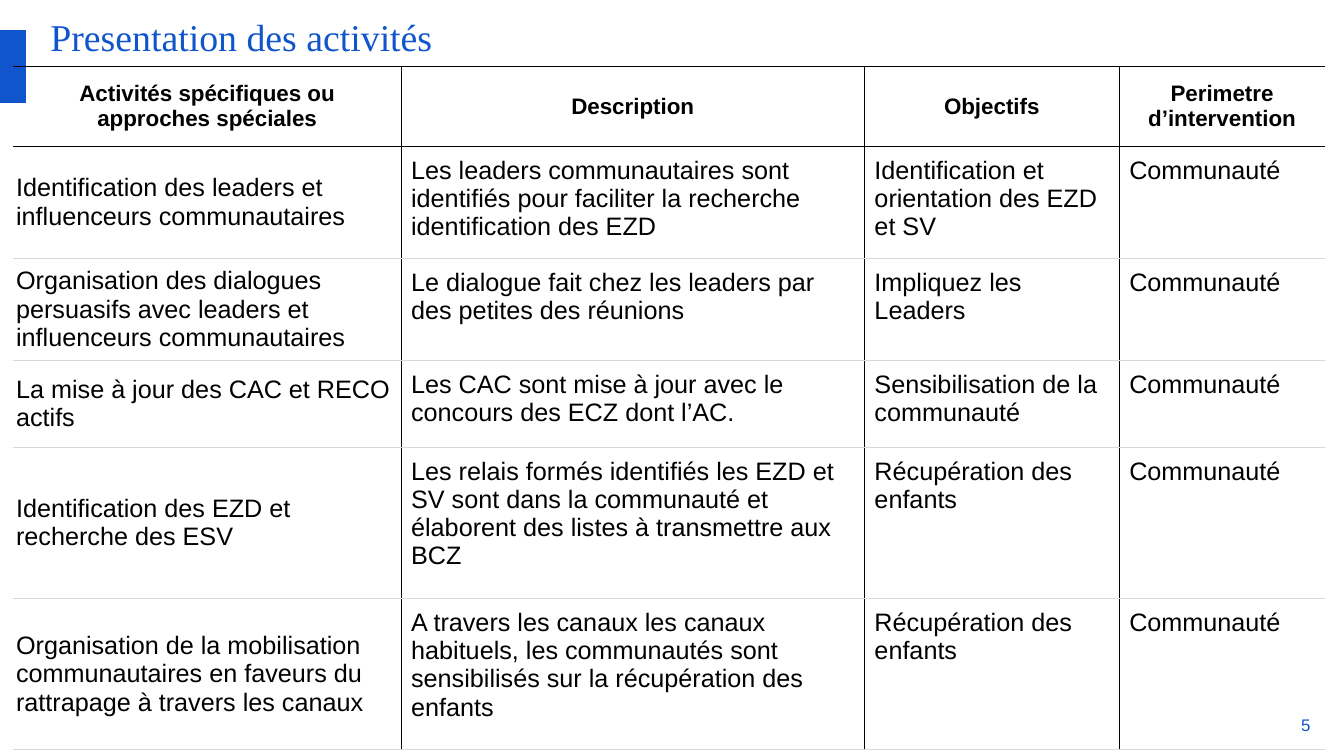
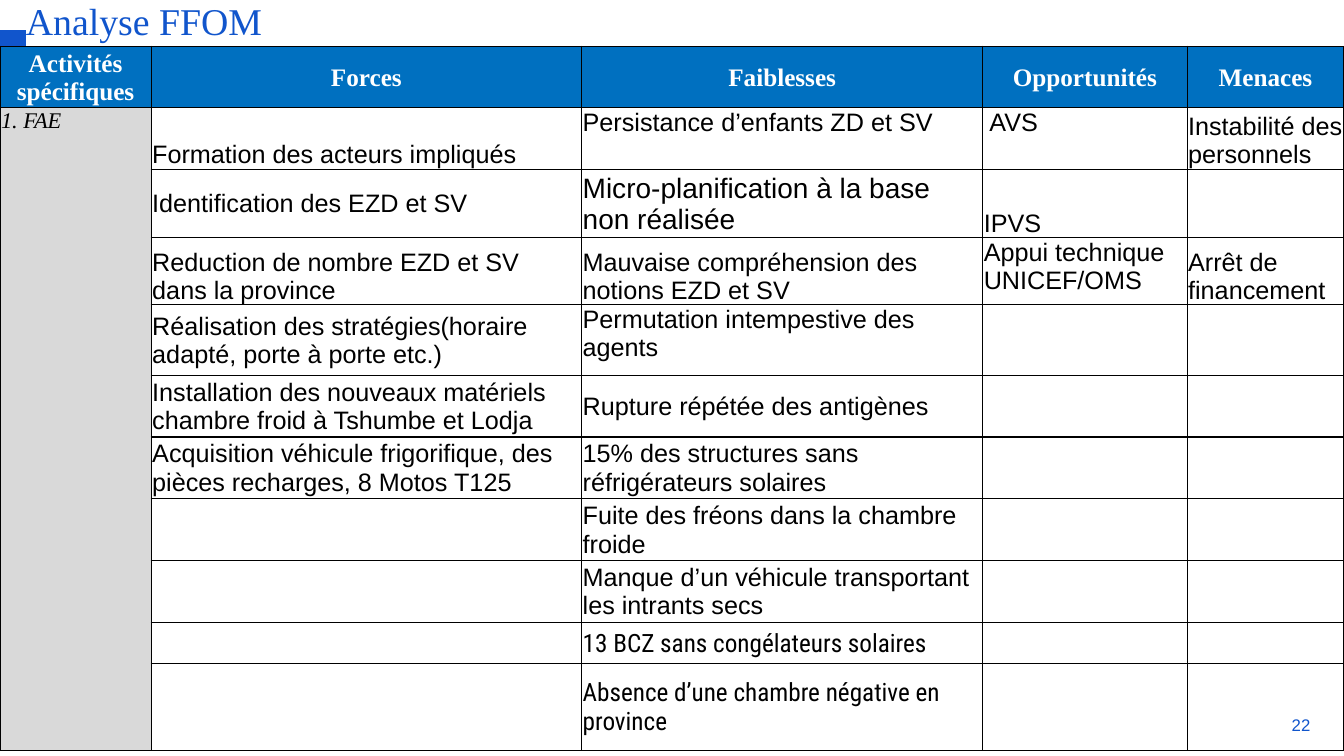
from lxml import etree
from pptx import Presentation
from pptx.dml.color import RGBColor
from pptx.enum.shapes import MSO_SHAPE
from pptx.enum.text import MSO_ANCHOR as ANCHOR, PP_ALIGN as ALIGN
from pptx.oxml.ns import qn
from pptx.util import Pt

COLORS = {
    "accent": "1155CC",
    "header": "0070C0",
    "group": "D9D9D9",
    "rule": "D9D9D9",
    "ink": "000000",
    "white": "FFFFFF",
}
SERIF, SANS, NARROW = "Times New Roman", "Arial", "Roboto Condensed"
PLAIN_TABLE_STYLE = "{2D5ABB26-0587-4C30-8999-92F81FD0307C}"
TOP, MID, LOW = ANCHOR.TOP, ANCHOR.MIDDLE, ANCHOR.BOTTOM

ACTIVITY_WIDTHS = [277, 331, 182, 147]
ACTIVITY_HEIGHTS = [57, 80, 73, 62, 108, 108]
ACTIVITIES = [
    ("Activités spécifiques ou approches spéciales", "Description",
     "Objectifs", "Perimetre d’intervention"),
    ("Identification des leaders et influenceurs communautaires",
     "Les leaders communautaires sont identifiés pour faciliter la recherche "
     "identification des EZD",
     "Identification et orientation des EZD et SV", "Communauté"),
    ("Organisation des dialogues persuasifs avec leaders et influenceurs "
     "communautaires",
     "Le dialogue fait chez les leaders par des petites des réunions",
     "Impliquez les Leaders", "Communauté"),
    ("La mise à jour des CAC et RECO actifs",
     "Les CAC sont mise à jour avec le concours des ECZ dont l’AC.",
     "Sensibilisation de la communauté", "Communauté"),
    ("Identification des EZD et recherche des ESV",
     "Les relais formés identifiés les EZD et SV sont dans la communauté et "
     "élaborent des listes à transmettre aux BCZ",
     "Récupération des enfants", "Communauté"),
    ("Organisation de la mobilisation communautaires en faveurs du rattrapage "
     "à travers les canaux",
     "A travers les canaux les canaux habituels, les communautés sont "
     "sensibilisés sur la récupération des enfants",
     "Récupération des enfants", "Communauté"),
]

SWOT_WIDTHS = [108, 307.5, 286.5, 146, 112]
SWOT_HEIGHTS = [42, 42, 47, 48, 50.5, 42, 42, 44.5, 42, 29.5, 62]
SWOT_GROUP = ("Activités spécifiques", "1. FAE")
# Each entry: text, vertical anchor, then any font settings that differ
SWOT = {
    "Forces": [
        ("Formation des acteurs impliqués", LOW),
        ("Identification des EZD et SV", MID),
        ("Reduction de nombre EZD et SV dans la province", LOW),
        ("Réalisation des stratégies(horaire adapté, porte à porte etc.)", MID),
        ("Installation des nouveaux matériels chambre froid à Tshumbe et Lodja", MID),
        ("Acquisition véhicule frigorifique, des pièces recharges, 8 Motos T125", MID),
    ],
    "Faiblesses": [
        ("Persistance d’enfants ZD et SV", TOP),
        ("Micro-planification à la base non réalisée", MID, {"size": 20}),
        ("Mauvaise compréhension des notions EZD et SV", LOW),
        ("Permutation intempestive des agents", TOP),
        ("Rupture répétée des antigènes", MID),
        ("15% des structures sans réfrigérateurs solaires", MID),
        ("Fuite des fréons dans la chambre froide", MID),
        ("Manque d’un véhicule transportant les intrants secs", MID),
        ("13 BCZ sans congélateurs solaires", MID, {"name": NARROW}),
        ("Absence d’une chambre négative en province", MID, {"name": NARROW}),
    ],
    "Opportunités": [
        (" AVS", TOP),
        ("IPVS", LOW),
        ("Appui technique UNICEF/OMS", TOP),
    ],
    "Menaces": [
        ("Instabilité des personnels", LOW),
        ("", MID),
        ("Arrêt de financement", LOW),
    ],
}


def rgb(color):
    return RGBColor.from_string(COLORS[color])


def write(frame, text, size=18, name=SANS, color="ink", align=ALIGN.LEFT,
          bold=False, italic=False):
    frame.text = text
    frame.word_wrap = True
    paragraph = frame.paragraphs[0]
    paragraph.alignment = align
    font = paragraph.font
    for run in paragraph.runs:
        font = run.font
    font.size, font.name, font.bold, font.italic = Pt(size), name, bold, italic
    font.color.rgb = rgb(color)


def add_label(slide, text, left, top, width, height, anchor=TOP, **font):
    frame = slide.shapes.add_textbox(
        Pt(left), Pt(top), Pt(width), Pt(height)).text_frame
    frame.margin_left = frame.margin_right = 0
    frame.margin_top = frame.margin_bottom = 0
    frame.vertical_anchor = anchor
    write(frame, text, color="accent", **font)


def add_page(deck, title, title_left, title_top, number):
    slide = deck.slides.add_slide(deck.slide_layouts[6])
    add_label(slide, title, title_left, title_top, 888, 36, size=27, name=SERIF)
    tab = slide.shapes.add_shape(
        MSO_SHAPE.RECTANGLE, 0, Pt(21.5), Pt(18.5), Pt(52))
    tab.shadow.inherit = False
    tab.fill.solid()
    tab.fill.fore_color.rgb = rgb("accent")
    tab.line.fill.background()
    add_label(slide, str(number), 918, 511, 18, 13, anchor=MID, size=12,
              align=ALIGN.RIGHT)
    return slide


def add_grid(slide, left, top, widths, heights):
    """Add an unstyled table with the given column widths and row heights."""
    grid = slide.shapes.add_table(
        len(heights), len(widths), Pt(left), Pt(top),
        Pt(sum(widths)), Pt(sum(heights))).table
    grid.first_row = grid.horz_banding = False
    grid._tbl.tblPr.find(qn("a:tableStyleId")).text = PLAIN_TABLE_STYLE
    for column, width in zip(grid.columns, widths):
        column.width = Pt(width)
    for row, height in zip(grid.rows, heights):
        row.height = Pt(height)
    return grid


def set_borders(cell, weight, **sides):
    """Draw the sides L, R, T and B; a side set to None stays open."""
    props = cell._tc.get_or_add_tcPr()
    for side in "LRTB":
        line = etree.SubElement(props, qn(f"a:ln{side}"), w=str(Pt(weight)))
        color = sides[side]
        if color is None:
            etree.SubElement(line, qn("a:noFill"))
        else:
            fill = etree.SubElement(line, qn("a:solidFill"))
            etree.SubElement(fill, qn("a:srgbClr"), val=COLORS[color])


def dress(cell, insets, anchor, fill=None):
    (cell.margin_left, cell.margin_top,
     cell.margin_right, cell.margin_bottom) = map(Pt, insets)
    cell.vertical_anchor = anchor
    if fill is None:
        cell.fill.background()
    else:
        cell.fill.solid()
        cell.fill.fore_color.rgb = rgb(fill)


def build_activities(deck):
    slide = add_page(deck, "Presentation des activités", 36, 10, 5)
    grid = add_grid(slide, 9.5, 47.5, ACTIVITY_WIDTHS, ACTIVITY_HEIGHTS)
    last = len(ACTIVITY_WIDTHS) - 1
    for r, texts in enumerate(ACTIVITIES):
        for c, text in enumerate(texts):
            cell = grid.cell(r, c)
            set_borders(cell, 0.75,
                        L="ink" if c > 0 else None,
                        R="ink" if c < last else None,
                        T="ink" if r <= 1 else "rule",
                        B="ink" if r == 0 else "rule")
            if r == 0:
                dress(cell, (7.2,) * 4, MID)
                write(cell.text_frame, text, size=16, bold=True,
                      align=ALIGN.CENTER)
            else:
                dress(cell, (2, 1.5, 2, 1.5) if c == 0 else (7.2,) * 4,
                      MID if c == 0 else TOP)
                write(cell.text_frame, text)


def build_swot(deck):
    slide = add_page(deck, "Analyse FFOM", 18.5, -1.5, 22)
    grid = add_grid(slide, 0, 33, SWOT_WIDTHS, SWOT_HEIGHTS)
    insets = (0.75, 0.75, 0.75, 0)
    body_rows = len(SWOT_HEIGHTS) - 1
    for cell in grid.iter_cells():
        set_borders(cell, 1, **dict.fromkeys("LRTB", "ink"))

    group_head, group = SWOT_GROUP
    for c, heading in enumerate([group_head, *SWOT]):
        cell = grid.cell(0, c)
        dress(cell, insets, MID, "header")
        write(cell.text_frame, heading, name=SERIF, color="white", bold=True,
              align=ALIGN.CENTER)

    group_cell = grid.cell(1, 0)
    group_cell.merge(grid.cell(body_rows, 0))
    dress(group_cell, insets, TOP, "group")
    write(group_cell.text_frame, group, size=16, name=SERIF, italic=True)

    for c, entries in enumerate(SWOT.values(), start=1):
        blanks = [("", MID)] * (body_rows - len(entries))
        for r, (text, anchor, *font) in enumerate(entries + blanks, start=1):
            cell = grid.cell(r, c)
            dress(cell, insets, anchor)
            write(cell.text_frame, text, **(font[0] if font else {}))


def main():
    deck = Presentation()
    deck.slide_width, deck.slide_height = Pt(960), Pt(540)
    build_activities(deck)
    build_swot(deck)
    deck.save("out.pptx")


if __name__ == "__main__":
    main()
